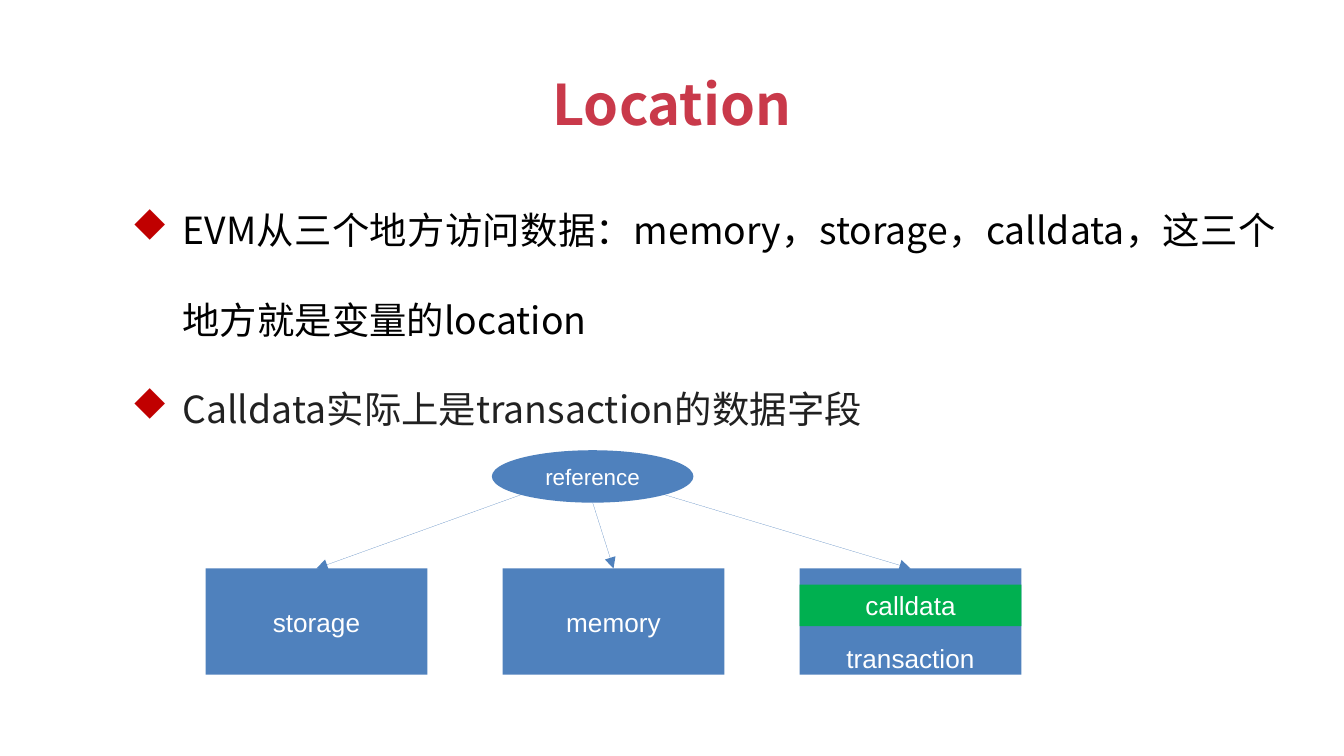
from dataclasses import dataclass
from pptx import Presentation
from pptx import util as u
from pptx.dml.color import RGBColor
from pptx.enum import shapes, text
from pptx.oxml.ns import qn
from lxml import etree


@dataclass(frozen=True)
class Theme:
    title: str = "C9394A"
    mark: str = "C00000"
    blue: str = "4F81BD"
    green: str = "00B050"
    white: str = "FFFFFF"
    head: str = "Noto Sans CJK SC"
    label: str = "Arial"
    big: int = 30
    body: int = 20
    mid: int = 14
    small: int = 12


T = Theme()
TITLE = "Location"
POINTS = [
    ("EVM从三个地方访问数据:memory,storage,calldata,这三个地方就是变量的location"
     .replace(":", "\uff1a").replace(",", "\uff0c"), "000000"),
    ("Calldata实际上是transaction的数据字段", "212121"),
]
PLACES = ["storage", "memory", "transaction"]
LEFT, TOP, WIDE, HIGH, STEP = 1.53, 4.23, 1.65, 0.79, 2.21
OVAL = (3.66, 3.35, 1.5, 0.39)
STARTS = [(3.88, 3.68), (4.41, 3.74), (4.94, 3.68)]

deck = Presentation()
deck.slide_width = u.Inches(10)
deck.slide_height = u.Inches(10 * 9 / 16)
slide = deck.slides.add_slide(deck.slide_layouts[6])


def inch(nums):
    return [u.Inches(n) for n in nums]


def style(para, size, color, face, bold=False):
    font = para.font
    font.size, font.name, font.bold = u.Pt(size), face, bold
    font.color.rgb = RGBColor.from_string(color)
    for run in para.runs:
        etree.SubElement(run._r.get_or_add_rPr(), qn("a:ea"), typeface=face)


def block(kind, spot, fill, words, size):
    shape = slide.shapes.add_shape(kind, *inch(spot))
    shape.shadow.inherit = False
    shape.fill.solid()
    shape.fill.fore_color.rgb = RGBColor.from_string(fill)
    shape.line.fill.background()
    frame = shape.text_frame
    frame.vertical_anchor = text.MSO_ANCHOR.MIDDLE
    para = frame.paragraphs[0]
    para.text, para.alignment = words, text.PP_ALIGN.CENTER
    style(para, size, T.white, T.label)
    return frame


def arrow(start, end):
    line = slide.shapes.add_connector(
        shapes.MSO_CONNECTOR.STRAIGHT, *inch(start + end))
    line.line.color.rgb = RGBColor.from_string(T.blue)
    etree.SubElement(line.line._get_or_add_ln(), qn("a:tailEnd"), type="triangle")
    etree.SubElement(line._element.spPr, qn("a:effectLst"))
    line._element.remove(line._element.find(qn("p:style")))


def bullet(para):
    props = para._p.get_or_add_pPr()
    props.set("marL", str(u.Inches(0.67)))
    props.set("indent", str(u.Inches(-0.38)))
    tint = etree.SubElement(props, qn("a:buClr"))
    etree.SubElement(tint, qn("a:srgbClr"), val=T.mark)
    etree.SubElement(props, qn("a:buFont"), typeface="Wingdings", charset="2")
    etree.SubElement(props, qn("a:buChar"), char="u")


title = slide.shapes.add_textbox(*inch((3.99, 0.47, 2.02, 0.61))).text_frame
title.word_wrap = False
title.auto_size = text.MSO_AUTO_SIZE.SHAPE_TO_FIT_TEXT
para = title.paragraphs[0]
para.text, para.alignment = TITLE, text.PP_ALIGN.CENTER
style(para, T.big, T.title, T.head, True)

body = slide.shapes.add_textbox(*inch((0.59, 1.93, 9, 0.56))).text_frame
body.word_wrap = True
body.vertical_anchor = text.MSO_ANCHOR.MIDDLE
for i, (words, color) in enumerate(POINTS):
    para = body.add_paragraph() if i else body.paragraphs[0]
    para.text, para.alignment = words, text.PP_ALIGN.JUSTIFY
    para.line_spacing = 2.0
    bullet(para)
    style(para, T.body, color, T.head)

rect = shapes.MSO_SHAPE.RECTANGLE
for i, name in enumerate(PLACES):
    frame = block(rect, (LEFT + i * STEP, TOP, WIDE, HIGH), T.blue, name, T.mid)
frame.vertical_anchor = text.MSO_ANCHOR.BOTTOM
frame.margin_bottom = u.Inches(0.01)
block(rect, (LEFT + 2 * STEP, 4.35, WIDE, 0.31), T.green, "calldata", T.mid)
block(shapes.MSO_SHAPE.OVAL, OVAL, T.blue, "reference", T.small)
for i, start in enumerate(STARTS):
    arrow(start, (LEFT + i * STEP + WIDE / 2, TOP))

deck.save("out.pptx")
